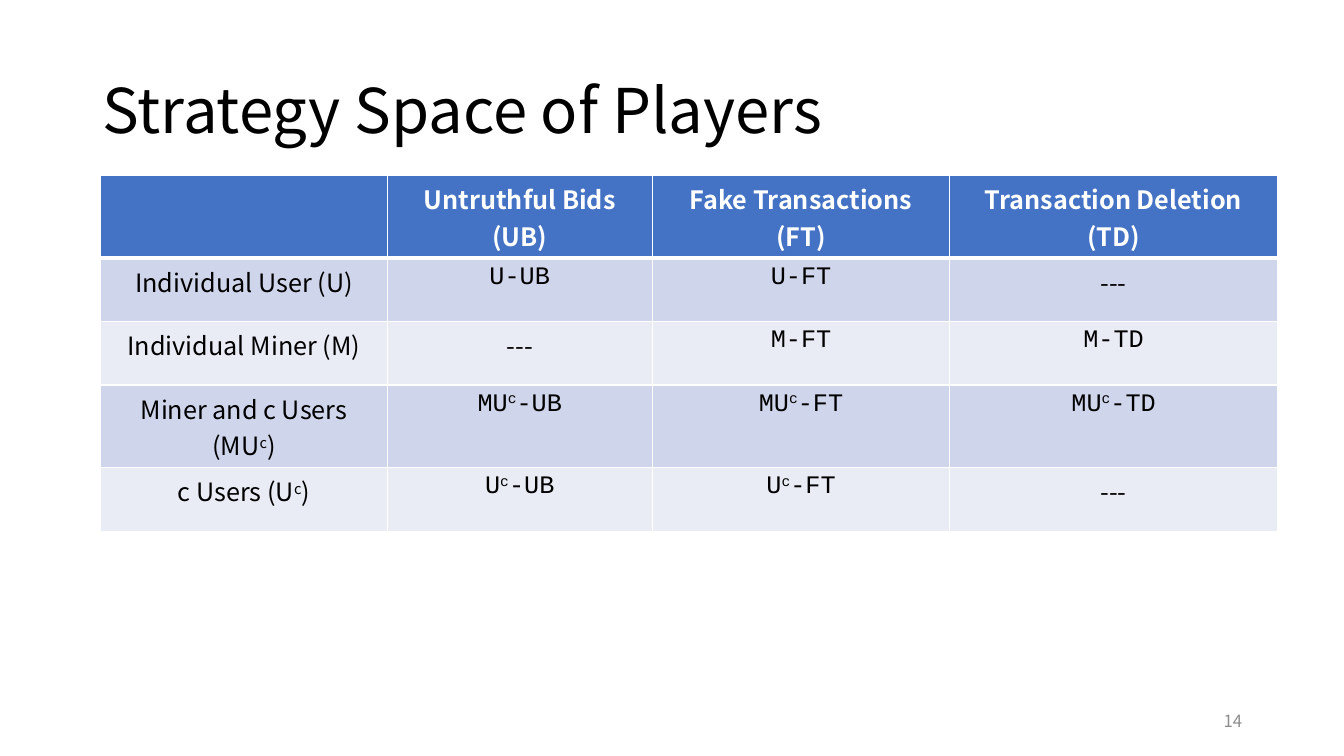
from pptx import Presentation
from pptx.dml.color import RGBColor
from pptx.enum.text import MSO_ANCHOR as ANCHOR, PP_ALIGN as ALIGN
from pptx.oxml import parse_xml
from pptx.oxml.ns import nsdecls
from pptx.util import Pt

PX = 9144
SANS = "Noto Sans CJK SC"
MONO = "Courier New"
BLACK = RGBColor(0x00, 0x00, 0x00)
WHITE = RGBColor(0xFF, 0xFF, 0xFF)
GRAY = RGBColor(0x8C, 0x8C, 0x8C)
BLUE = RGBColor(0x44, 0x72, 0xC4)
BANDS = [RGBColor(0xE9, 0xEB, 0xF5), RGBColor(0xCF, 0xD5, 0xEA)]

COL_WIDTHS = [284, 263, 295, 325]
ROW_HEIGHTS = [82, 63, 63, 82, 63]
NONE = "---"
STRATEGIES = [
    ["", "Untruthful Bids (UB)", "Fake Transactions (FT)", "Transaction Deletion (TD)"],
    ["Individual User (U)", "U-UB", "U-FT", NONE],
    ["Individual Miner (M)", NONE, "M-FT", "M-TD"],
    ["Miner and c Users (MU^c^)", "MU^c^-UB", "MU^c^-FT", "MU^c^-TD"],
    ["c Users (U^c^)", "U^c^-UB", "U^c^-FT", NONE],
]


def write(tf, text, size=18, font=SANS, color=BLACK, bold=False,
          align=ALIGN.LEFT, spacing=None):
    p = tf.paragraphs[0]
    p.alignment = align
    p.line_spacing = spacing
    for i, part in enumerate(text.split("^")):
        if not part:
            continue
        r = p.add_run()
        r.text = part
        r.font.size = Pt(size)
        r.font.name = font
        r.font.bold = bold
        r.font.color.rgb = color
        if i % 2:
            r.font._element.set("baseline", "30000")


def add_text(s, x, y, w, h, text, **fmt):
    tf = s.shapes.add_textbox(x * PX, y * PX, w * PX, h * PX).text_frame
    tf.word_wrap = True
    tf.vertical_anchor = ANCHOR.MIDDLE
    write(tf, text, **fmt)


def set_border(cell, side, points):
    cell._tc.get_or_add_tcPr().append(parse_xml(
        f'<a:ln{side} {nsdecls("a")} w="{Pt(points)}"><a:solidFill>'
        f'<a:srgbClr val="{WHITE}"/></a:solidFill></a:ln{side}>'))


def fill_cell(cell, row, col, text):
    header = row == 0
    set_border(cell, "L", 1)
    set_border(cell, "R", 1)
    set_border(cell, "T", 3 if row == 1 else 1)
    set_border(cell, "B", 3 if header else 1)
    cell.fill.solid()
    cell.fill.fore_color.rgb = BLUE if header else BANDS[row % 2]
    code = not header and col > 0 and text != NONE
    write(cell.text_frame, text, font=MONO if code else SANS,
          color=WHITE if header else BLACK, bold=header, align=ALIGN.CENTER)


def add_strategy_table(s, x, y):
    table = s.shapes.add_table(len(ROW_HEIGHTS), len(COL_WIDTHS), x * PX, y * PX,
                               sum(COL_WIDTHS) * PX, sum(ROW_HEIGHTS) * PX).table
    for column, width in zip(table.columns, COL_WIDTHS):
        column.width = width * PX
    for row, height in zip(table.rows, ROW_HEIGHTS):
        row.height = height * PX
    for i, texts in enumerate(STRATEGIES):
        for j, text in enumerate(texts):
            fill_cell(table.cell(i, j), i, j, text)


def main():
    prs = Presentation()
    prs.slide_width = 1333 * PX
    prs.slide_height = 750 * PX
    s = prs.slides.add_slide(prs.slide_layouts[6])
    add_text(s, 92, 40, 1150, 145, "Strategy Space of Players", size=44, spacing=0.9)
    add_strategy_table(s, 100, 174)
    add_text(s, 942, 695, 300, 40, "14", size=12, color=GRAY, align=ALIGN.RIGHT)
    prs.save("out.pptx")


if __name__ == "__main__":
    main()
